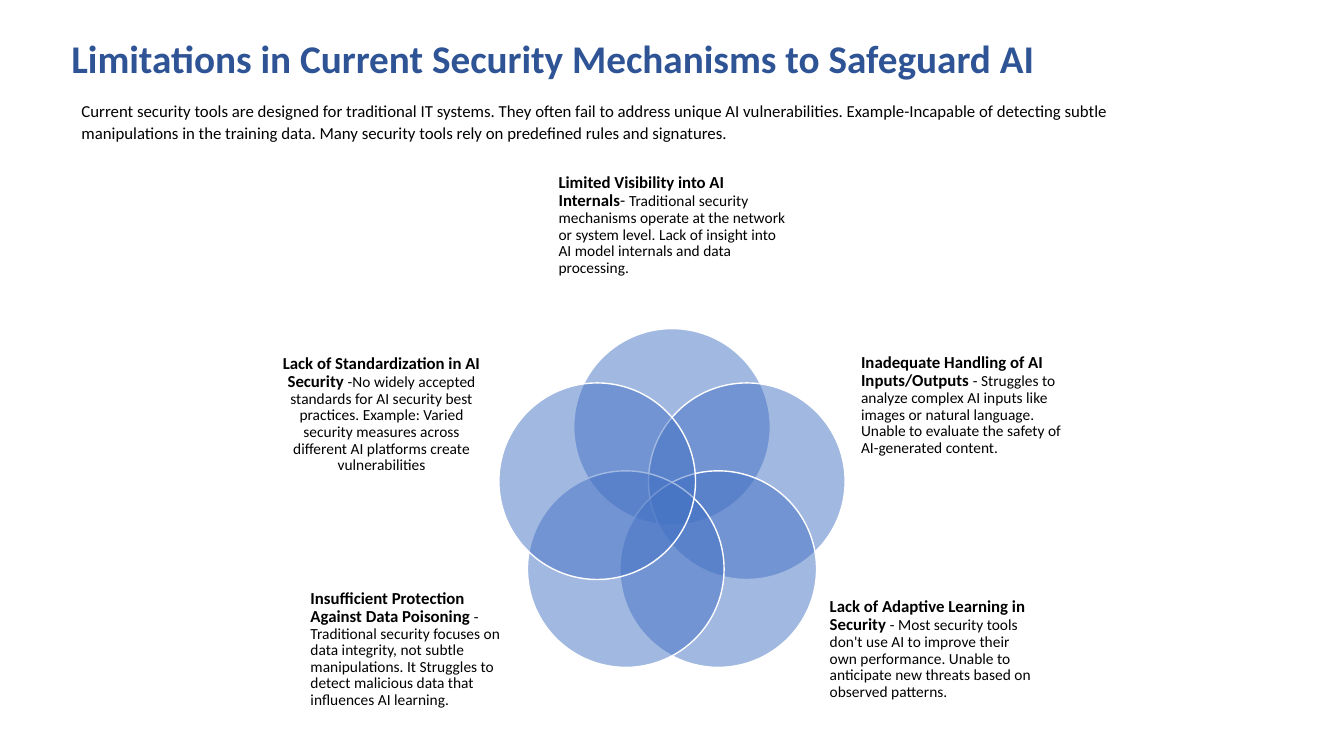
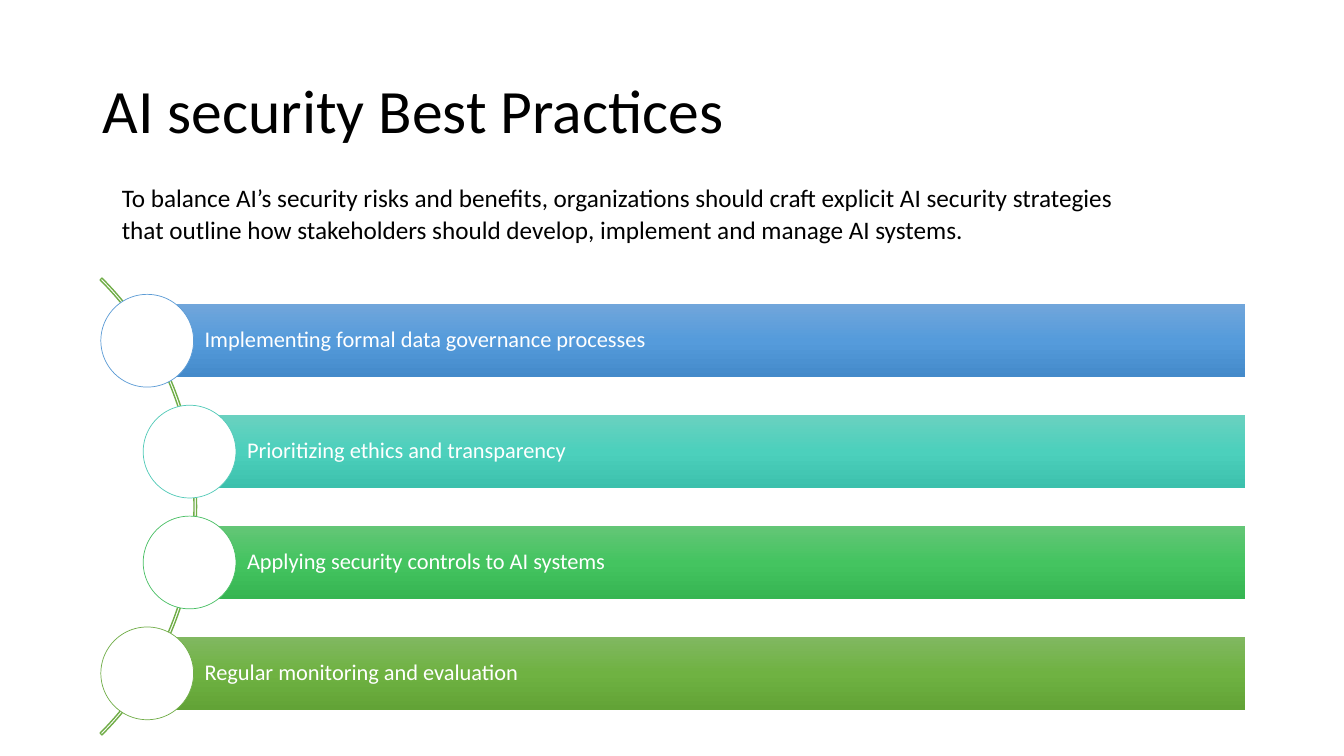
from collections import namedtuple
from math import cos, radians, sin

from lxml.etree import SubElement
from pptx import Presentation
from pptx.dml.color import RGBColor
from pptx.enum.shapes import MSO_SHAPE as Preset
from pptx.enum.text import MSO_ANCHOR as Anchor, PP_ALIGN as Align
from pptx.oxml.ns import qn
from pptx.util import Pt

PX = 9144  # EMU; 100 px to the inch
PAGE_WIDTH, PAGE_HEIGHT = 1333, 750
FONT = "Calibri"
BLACK = RGBColor(0x00, 0x00, 0x00)
WHITE = RGBColor(0xFF, 0xFF, 0xFF)
NAVY = RGBColor(0x2F, 0x54, 0x96)
BLUE = RGBColor(0x44, 0x72, 0xC4)
GREEN = RGBColor(0x70, 0xAD, 0x47)

Box = namedtuple("Box", "left top width height")
Span = namedtuple("Span", "text size bold", defaults=(False,))
Petal = namedtuple("Petal", "spans box align tail", defaults=(Align.LEFT, 18))
Practice = namedtuple("Practice", "text indent outline shades")

PETALS = [
    Petal([Span("Limited Visibility into AI Internals", 12, True),
           Span("- ", 12),
           Span("Traditional security mechanisms operate at the network or "
                "system level. Lack of insight into AI model internals and "
                "data processing.", 11)],
          Box(554, 167, 226, 131)),
    Petal([Span("Inadequate Handling of AI Inputs/Outputs ", 12, True),
           Span("- Struggles to analyze complex AI inputs like images or "
                "natural language. Unable to evaluate the safety of "
                "AI-generated content.", 11)],
          Box(854, 340, 203, 142)),
    Petal([Span("Lack of Adaptive Learning in Security ", 12, True),
           Span("- Most security tools don't use AI to improve their own "
                "performance. Unable to anticipate new threats based on "
                "observed patterns.", 11)],
          Box(823, 582, 203, 142)),
    Petal([Span("Insufficient Protection Against Data Poisoning ", 12, True),
           Span("- Traditional security focuses on data integrity, not subtle "
                "manipulations. It Struggles to detect malicious data that "
                "influences AI learning.", 11)],
          Box(308, 582, 203, 142)),
    Petal([Span("Lack of Standardization in AI Security ", 12, True),
           Span("-No widely accepted standards for AI security best "
                "practices. Example: Varied security measures across "
                "different AI platforms create vulnerabilities", 11)],
          Box(277, 340, 203, 142), Align.CENTER, 0),
]

PRACTICES = [
    Practice("Implementing formal data governance processes", 0,
             RGBColor(0x5B, 0x9B, 0xD5), ("71A6DB", "559BDB", "448ACA")),
    Practice("Prioritizing ethics and transparency", 42,
             RGBColor(0x52, 0xCA, 0xB8), ("6AD1C0", "4CD0BC", "3CC0AC")),
    Practice("Applying security controls to AI systems", 42,
             RGBColor(0x49, 0xBF, 0x64), ("64C677", "44C460", "36B552")),
    Practice("Regular monitoring and evaluation", 0,
             GREEN, ("81B861", "6FB242", "62A336")),
]


def to_emu(box):
    return [round(length * PX) for length in box]


def write_text(shape, spans, color=BLACK, align=Align.LEFT, anchor=Anchor.TOP,
               insets=(10, 5, 10, 5), line_spacing=1.07, before=0, after=0):
    """Fill a shape with one paragraph; insets are left, top, right, bottom."""
    frame = shape.text_frame
    frame.word_wrap = True
    frame.vertical_anchor = anchor
    (frame.margin_left, frame.margin_top,
     frame.margin_right, frame.margin_bottom) = to_emu(insets)
    para = frame.paragraphs[0]
    para.alignment = align
    para.line_spacing = line_spacing
    para.space_before, para.space_after = Pt(before), Pt(after)
    for span in spans:
        run = para.add_run()
        run.text = span.text
        run.font.name = FONT
        run.font.size = Pt(span.size)
        run.font.bold = span.bold
        run.font.color.rgb = color


def add_text(page, box, spans, **style):
    write_text(page.shapes.add_textbox(*to_emu(box)), spans, **style)


def add_preset(page, preset, box, fill=None, line=None, line_width=1):
    shape = page.shapes.add_shape(preset, *to_emu(box))
    shape.shadow.inherit = False
    if fill is None:
        shape.fill.background()
    else:
        shape.fill.solid()
        shape.fill.fore_color.rgb = fill
    if line is None:
        shape.line.fill.background()
    else:
        shape.line.color.rgb = line
        shape.line.width = Pt(line_width)
    return shape


def set_opacity(shape, percent):
    color = shape._element.spPr.find(qn("a:solidFill")).find(qn("a:srgbClr"))
    SubElement(color, qn("a:alpha"), val=str(percent * 1000))


def set_gradient(shape, shades):
    """Spread the shades evenly from top to bottom."""
    shape.fill.gradient()
    shape.fill.gradient_angle = 270
    stops = shape._element.spPr.find(qn("a:gradFill")).find(qn("a:gsLst"))
    for stop in list(stops):
        stops.remove(stop)
    for index, shade in enumerate(shades):
        position = 100000 * index // (len(shades) - 1)
        stop = SubElement(stops, qn("a:gs"), pos=str(position))
        SubElement(stop, qn("a:srgbClr"), val=shade)


def add_title(page, box, text, size, bold=False, **style):
    add_text(page, box, [Span(text, size, bold)], anchor=Anchor.MIDDLE, **style)


def add_intro(page, box, text, size):
    add_text(page, box, [Span(text, size)], after=8)


def add_venn(page, box, petals):
    """Overlapping circles around the middle of the box, with their captions."""
    diameter, orbit = 195, 78
    center_x = box.left + box.width / 2
    center_y = box.top + diameter / 2 + orbit
    for index, petal in enumerate(petals):
        angle = radians(index * 360 / len(petals))
        left = center_x + orbit * sin(angle) - diameter / 2
        top = center_y - orbit * cos(angle) - diameter / 2
        circle = add_preset(page, Preset.OVAL, Box(left, top, diameter, diameter),
                            BLUE, WHITE)
        set_opacity(circle, 50)
        add_text(page, petal.box, petal.spans, align=petal.align,
                 anchor=Anchor.MIDDLE, insets=(0, 0, 0, petal.tail),
                 line_spacing=0.9)


def add_practice_list(page, box, practices):
    """Bars with discs, strung along an arc that bulges to the right."""
    disc, bar_height, pitch, arc_size = 92, 73, 110, 641
    arc_top = box.top + (box.height - arc_size) / 2
    arc = add_preset(page, Preset.BLOCK_ARC,
                     Box(box.left - 546, arc_top, arc_size, arc_size), line=GREEN)
    arc.adjustments[0] = 189
    arc.adjustments[1] = 27
    arc.adjustments[2] = 0.004
    right = box.left + box.width
    for row, practice in enumerate(practices):
        disc_left = box.left + practice.indent
        disc_top = box.top + row * pitch
        bar_left = disc_left + disc // 2 - 1
        bar_top = disc_top + (disc - bar_height) / 2
        bar = add_preset(page, Preset.RECTANGLE,
                         Box(bar_left, bar_top, right - bar_left, bar_height))
        set_gradient(bar, practice.shades)
        write_text(bar, [Span(practice.text, 16)], color=WHITE,
                   anchor=Anchor.MIDDLE, insets=(58, 4, 4, 4), line_spacing=0.9)
        add_preset(page, Preset.OVAL, Box(disc_left, disc_top, disc, disc),
                   WHITE, practice.outline, 0.5)


def build_limitations(page):
    add_title(page, Box(61, 17, 1150, 77),
              "Limitations in Current Security Mechanisms to Safeguard AI",
              28, bold=True, color=NAVY, before=12)
    add_intro(page, Box(71, 94, 1060, 52),
              "Current security tools are designed for traditional IT systems. "
              "They often fail to address unique AI vulnerabilities. "
              "Example-Incapable of detecting subtle manipulations in the "
              "training data. Many security tools rely on predefined rules "
              "and signatures.", 12)
    add_venn(page, Box(495, 326, 343, 336), PETALS)


def build_best_practices(page):
    add_title(page, Box(92, 40, 1150, 145), "AI security Best Practices", 44,
              line_spacing=0.9)
    add_intro(page, Box(111, 174, 1042, 73),
              "To balance AI’s security risks and benefits, organizations "
              "should craft explicit AI security strategies that outline how "
              "stakeholders should develop, implement and manage AI systems.",
              18)
    add_practice_list(page, Box(100, 292, 1135, 421), PRACTICES)


def main():
    deck = Presentation()
    deck.slide_width, deck.slide_height = PAGE_WIDTH * PX, PAGE_HEIGHT * PX
    for build in (build_limitations, build_best_practices):
        build(deck.slides.add_slide(deck.slide_layouts[6]))
    deck.save("out.pptx")


if __name__ == "__main__":
    main()
